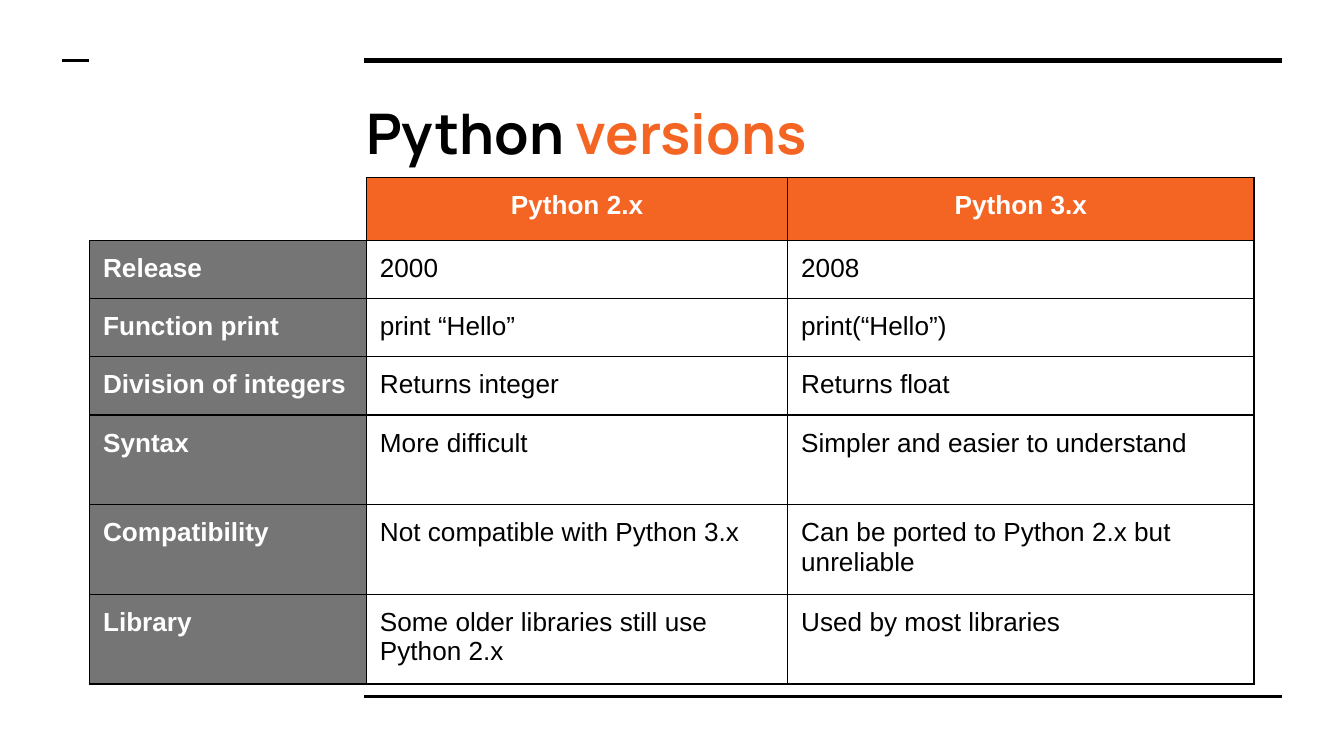
"""Build a slide that compares two Python versions in a table."""
import pptx
import pptx.dml.color
import pptx.enum.shapes
import pptx.enum.text
import pptx.oxml
import pptx.oxml.ns
import pptx.util

COLORS = {"ink": "000000", "paper": "FFFFFF", "accent": "F46524", "label": "757575"}
ALIGN = pptx.enum.text.PP_ALIGN
NAMESPACE = pptx.oxml.ns.nsdecls("a")
ROWS = [
    ("", "Python 2.x", "Python 3.x"),
    ("Release", "2000", "2008"),
    ("Function print", "print “Hello”", "print(“Hello”)"),
    ("Division of integers", "Returns integer", "Returns float"),
    ("Syntax", "More difficult", "Simpler and easier to understand"),
    ("Compatibility", "Not compatible with Python 3.x", "Can be ported to Python 2.x but unreliable"),
    ("Library", "Some older libraries still use Python 2.x", "Used by most libraries"),
]


def rgb(name):
    """Return the named colour."""
    return pptx.dml.color.RGBColor.from_string(COLORS[name])


def add_text(para, text, *, font="Arial", size=14, color="ink", bold=False, align=ALIGN.LEFT):
    """Append a formatted span of text to a paragraph."""
    para.alignment = align
    span = para.add_run()
    span.text = text
    span.font.name = font
    span.font.size = pptx.util.Pt(size)
    span.font.bold = bold
    span.font.color.rgb = rgb(color)


def set_empty_size(para, size, font="Arial"):
    """Set the text size that gives an empty paragraph its height."""
    para._p.append(pptx.oxml.parse_xml(
        f'<a:endParaRPr {NAMESPACE} sz="{size * 100}"><a:latin typeface="{font}"/></a:endParaRPr>'
    ))


def add_border(cell, side, color, width=0.75):
    """Draw one side of a table cell; sides are added before the fill."""
    border = pptx.oxml.parse_xml(
        f'<a:ln{side} {NAMESPACE} w="{pptx.util.Pt(width)}"><a:solidFill>'
        f'<a:srgbClr val="{COLORS[color]}"/></a:solidFill></a:ln{side}>'
    )
    cell._tc.get_or_add_tcPr().append(border)


class SlideBuilder:
    """Hold the deck and its page, measured in percent of the slide's size."""

    def __init__(self, width, height):
        """Start a deck with one title-only page."""
        self.deck = pptx.Presentation()
        self.deck.slide_width = pptx.util.Inches(width)
        self.deck.slide_height = pptx.util.Inches(height)
        self.page = self.deck.slides.add_slide(self.deck.slide_layouts[5])

    def x(self, share):
        """Turn a percentage of the width into a length."""
        return round(self.deck.slide_width * share / 100)

    def y(self, share):
        """Turn a percentage of the height into a length."""
        return round(self.deck.slide_height * share / 100)

    def rule(self, left, right, top, width):
        """Draw a horizontal rule."""
        line = self.page.shapes.add_connector(
            pptx.enum.shapes.MSO_CONNECTOR.STRAIGHT,
            self.x(left), self.y(top), self.x(right), self.y(top),
        )
        line.line.color.rgb = rgb("ink")
        line.line.width = pptx.util.Pt(width)
        line._element.spPr.append(pptx.oxml.parse_xml(f"<a:effectLst {NAMESPACE}/>"))

    def title(self, left, top, width, height, spans):
        """Place the title and fill it with coloured spans."""
        box = self.page.shapes.title
        box.left, box.top = self.x(left), self.y(top)
        box.width, box.height = self.x(width), self.y(height)
        frame = box.text_frame
        frame.word_wrap = True
        frame.auto_size = pptx.enum.text.MSO_AUTO_SIZE.NONE
        frame.vertical_anchor = pptx.enum.text.MSO_ANCHOR.TOP
        frame.margin_left = frame.margin_right = pptx.util.Inches(0.1)
        frame.margin_top = frame.margin_bottom = pptx.util.Inches(0.1)
        for text, color in spans:
            add_text(frame.paragraphs[0], text, font="Manrope", size=30, color=color, bold=True)

    def table(self, left, top, widths, heights, rows):
        """Draw a table with a heading row and a label column."""
        table = self.page.shapes.add_table(
            len(rows), len(widths), self.x(left), self.y(top),
            self.x(sum(widths)), self.y(sum(heights)),
        ).table
        for column, width in zip(table.columns, widths):
            column.width = self.x(width)
        for row, height in zip(table.rows, heights):
            row.height = self.y(height)
        for i, texts in enumerate(rows):
            for j, text in enumerate(texts):
                self.cell(table.cell(i, j), text, heading=i == 0, label=j == 0)

    def cell(self, cell, text, heading, label):
        """Fill and outline one table cell."""
        corner = heading and label
        strong = heading or label
        cell.margin_left = cell.margin_right = pptx.util.Inches(0.1)
        cell.margin_top = cell.margin_bottom = pptx.util.Inches(0.1)
        for side in "LRTB":
            add_border(cell, side, "paper" if corner and side in "LT" else "ink")
        if corner or not strong:
            cell.fill.background()
        else:
            cell.fill.solid()
            cell.fill.fore_color.rgb = rgb("accent" if heading else "label")
        para = cell.text_frame.paragraphs[0]
        if text:
            add_text(
                para, text, bold=strong,
                color="paper" if strong else "ink",
                align=ALIGN.CENTER if heading else ALIGN.LEFT,
            )
        else:
            set_empty_size(para, 17)


def main():
    """Compose the slide and save it."""
    slide = SlideBuilder(10, 5.625)
    slide.rule(27.1, 95.4, 8, 3)
    slide.rule(27.1, 95.4, 92.1, 1.5)
    slide.rule(4.65, 6.65, 8, 1.5)
    slide.title(26.25, 11.25, 69.1, 12.25, [("Python ", "ink"), ("versions", "accent")])
    slide.table(6.67, 23.52, [20.6, 31.35, 34.7], [7.7] * 4 + [11.87] * 3, ROWS)
    slide.deck.save("out.pptx")


if __name__ == "__main__":
    main()
